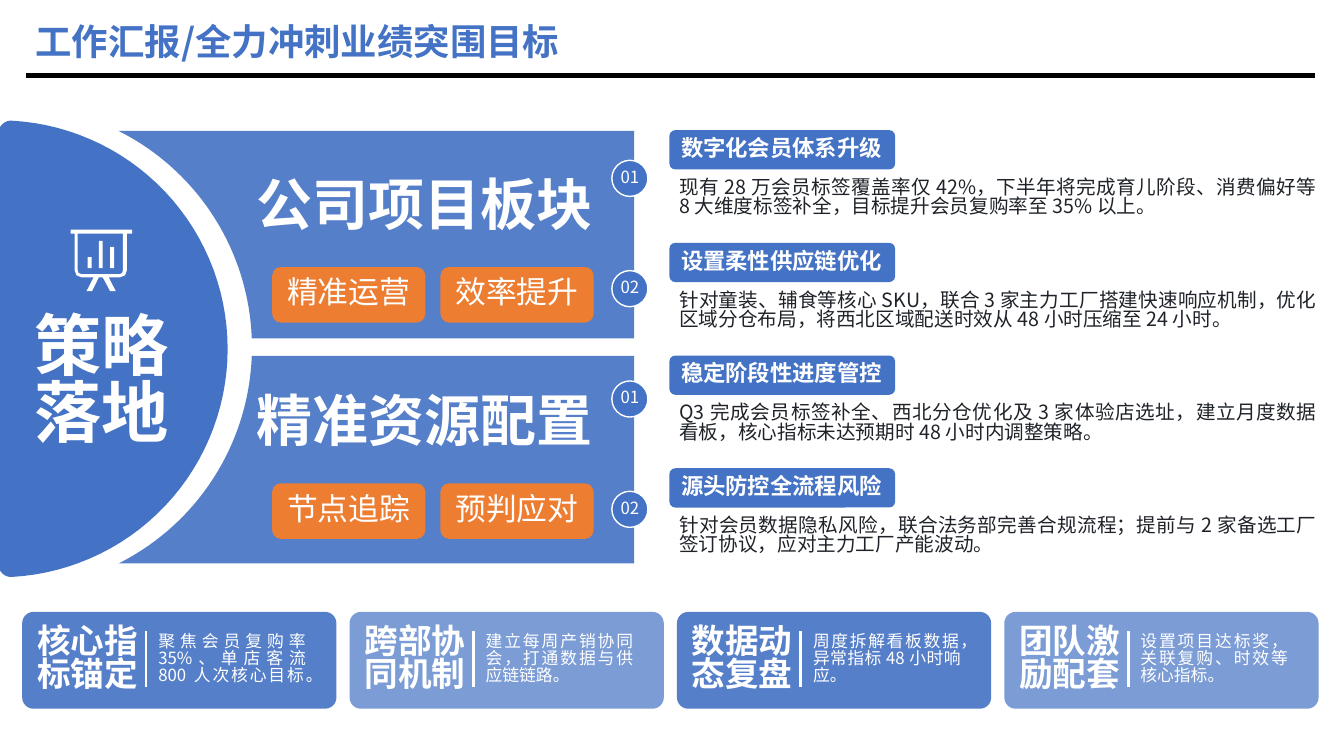
import math
from dataclasses import dataclass

import pptx
import pptx.dml.color
import pptx.enum.shapes
import pptx.enum.text
import pptx.oxml
import pptx.oxml.ns
import pptx.util

Cm = pptx.util.Cm
Color = pptx.dml.color.RGBColor
Align = pptx.enum.text.PP_ALIGN
Kind = pptx.enum.shapes.MSO_SHAPE

BLUE = Color(0x44, 0x72, 0xC4)
ORANGE = Color(0xED, 0x7D, 0x31)
WHITE = Color(0xFF, 0xFF, 0xFF)
BLACK = Color(0, 0, 0)
INK = Color(0x1F, 0x23, 0x29)
FONT = "Noto Sans CJK SC"
LEADING = 0.83
Points = list[tuple[float, float]]


@dataclass
class Style:
    size: int
    bold: bool = False
    color: Color = WHITE
    align: Align = Align.CENTER
    inset: float = 0.25


@dataclass
class Box:
    left: float
    top: float
    width: float
    height: float

    def spans(self) -> list[int]:
        return [Cm(v) for v in (self.left, self.top, self.width, self.height)]


@dataclass
class Topic:
    head: str
    body: str


@dataclass
class Panel:
    head: str
    chips: tuple[str, str]
    side: int  # -1 above the hub's centre line, 1 below


@dataclass
class Card:
    head: str
    note: str
    alpha: int


TITLE = Style(26, True, BLUE, Align.LEFT)
HUB = Style(48, True)
HEAD = Style(40, True)
CHIP = Style(22, inset=0)
DOT = Style(12, inset=0)
TAG = Style(16, True, align=Align.LEFT)
BODY = Style(14, color=INK, align=Align.JUSTIFY)
LABEL = Style(24, True)
NOTE = Style(12, align=Align.JUSTIFY)

TOPICS = [
    Topic("数字化会员体系升级", "现有 28 万会员标签覆盖率仅 42%，下半年将完成育儿阶段、消费偏好"
          "等 8 大维度标签补全，目标提升会员复购率至 35% 以上。"),
    Topic("设置柔性供应链优化", "针对童装、辅食等核心 SKU，联合 3 家主力工厂搭建快速响应机制，优"
          "化区域分仓布局，将西北区域配送时效从 48 小时压缩至 24 小时。"),
    Topic("稳定阶段性进度管控", "Q3 完成会员标签补全、西北分仓优化及 3 家体验店选址，建立月度数据"
          "看板，核心指标未达预期时 48 小时内调整策略。"),
    Topic("源头防控全流程风险", "针对会员数据隐私风险，联合法务部完善合规流程；提前与 2 家备选工"
          "厂签订协议，应对主力工厂产能波动。"),
]
PANELS = [
    Panel("公司项目板块", ("精准运营", "效率提升"), -1),
    Panel("精准资源配置", ("节点追踪", "预判应对"), 1),
]
CARDS = [
    Card("核心指标锚定", "聚焦会员复购率 35%、单店客流 800 人次核心目标。", 90),
    Card("跨部协同机制", "建立每周产销协同会，打通数据与供应链链路。", 70),
    Card("数据动态复盘", "周度拆解看板数据，异常指标 48 小时响应。", 90),
    Card("团队激励配套", "设置项目达标奖，关联复购、时效等核心指标。", 70),
]
BOARD = [(1.78, 5.79), (3.33, 5.79), (3.33, 5.89), (3.2, 5.89), (3.2, 6.81),
         (3.15, 6.94), (3.02, 6.99), (2.74, 6.99), (2.92, 7.34), (2.78, 7.34),
         (2.59, 6.99), (2.49, 6.99), (2.32, 7.34), (2.18, 7.34), (2.36, 6.99),
         (2.06, 6.99), (1.93, 6.94), (1.88, 6.81), (1.88, 5.89), (1.78, 5.89)]
SCREEN = [(1.96, 5.89), (3.1, 5.89), (3.1, 6.81), (3.08, 6.88), (3.02, 6.91),
          (2.06, 6.91), (1.98, 6.88), (1.96, 6.81)]


def write(shape, text: str, style: Style) -> None:
    frame = shape.text_frame
    frame.word_wrap = style.inset > 0
    frame.auto_size = pptx.enum.text.MSO_AUTO_SIZE.NONE
    frame.vertical_anchor = pptx.enum.text.MSO_ANCHOR.MIDDLE
    frame.margin_left = frame.margin_right = Cm(style.inset)
    frame.margin_top = frame.margin_bottom = Cm(0.13 if style.inset else 0)
    para = frame.paragraphs[0]
    para.alignment = style.align
    para.line_spacing = LEADING
    run = para.add_run()
    run.text = text
    font = run.font
    font.name, font.size, font.bold = FONT, pptx.util.Pt(style.size), style.bold
    font.color.rgb = style.color
    east = pptx.oxml.parse_xml(f'<a:ea {pptx.oxml.ns.nsdecls("a")} typeface="{FONT}"/>')
    run._r.rPr.find(pptx.oxml.ns.qn("a:latin")).addnext(east)


def label(slide, box: Box, text: str, style: Style) -> None:
    write(slide.shapes.add_textbox(*box.spans()), text, style)


def paint(shape, fill: Color, alpha: int = 100) -> None:
    """Give a flat fill, with alpha as percent opacity, and no outline."""
    shape.shadow.inherit = False
    shape.fill.solid()
    shape.fill.fore_color.rgb = fill
    shape.line.fill.background()
    if alpha < 100:
        tint = pptx.oxml.parse_xml(
            f'<a:alpha {pptx.oxml.ns.nsdecls("a")} val="{alpha * 1000}"/>')
        shape._element.spPr.find(".//" + pptx.oxml.ns.qn("a:srgbClr")).append(tint)


def plate(slide, box: Box, fill: Color, round: float, alpha: int = 100):
    shape = slide.shapes.add_shape(Kind.ROUNDED_RECTANGLE, *box.spans())
    shape.adjustments[0] = round
    paint(shape, fill, alpha)
    return shape


def rule(slide, start: tuple, end: tuple, color: Color, width: float) -> None:
    ends = [Cm(v) for v in start + end]
    line = slide.shapes.add_connector(pptx.enum.shapes.MSO_CONNECTOR.STRAIGHT, *ends)
    line.line.color.rgb = color
    line.line.width = pptx.util.Pt(width)
    line._element.spPr.append(
        pptx.oxml.parse_xml(f'<a:effectLst {pptx.oxml.ns.nsdecls("a")}/>'))


def outline(slide, *rings: Points):
    """Build one shape from closed rings; inner rings become holes."""
    rings = [[(Cm(x), Cm(y)) for x, y in ring] for ring in rings]
    form = slide.shapes.build_freeform(*rings[0][0])
    for num, ring in enumerate(rings):
        if num:
            form.move_to(*ring[0])
        form.add_line_segments(ring[1:], close=True)
    return form.convert_to_shape()


def arc(mid: tuple, radius: float, start: float, end: float) -> Points:
    turns = [start + (end - start) * k / 60 for k in range(61)]
    return [(mid[0] + radius * math.cos(t), mid[1] + radius * math.sin(t)) for t in turns]


def draw_hub(slide) -> None:
    turn = math.acos(0.3 / 5.44)
    disc = outline(slide, arc((-0.02, 8.79), 5.44, -turn, turn))
    paint(disc, BLUE)
    disc.line.color.rgb = BLUE
    disc.line.width = pptx.util.Pt(18)
    label(slide, Box(0.28, 7.49, 4.55, 4.37), "策略落地", HUB)
    bars = [[(x, top), (x + 0.1, top), (x + 0.1, 6.76), (x, 6.76)]
            for x, top in ((2.21, 6.48), (2.49, 6.07), (2.78, 6.22))]
    paint(outline(slide, BOARD, SCREEN, *bars), WHITE)


def draw_panel(slide, panel: Panel, drop: float) -> None:
    mid, radius, near, far = (0.25, 8.75), 6.1, 0.22, 5.45
    curve = arc(mid, radius, panel.side * math.asin(near / radius),
                panel.side * math.asin(far / radius))
    edge = [(15.98, mid[1] + panel.side * gap) for gap in (far, near)]
    paint(outline(slide, curve + edge), BLUE, 90)
    label(slide, Box(6.07, 4.27 + drop, 9.25, 1.96), panel.head, HEAD)
    for col, text in enumerate(panel.chips):
        box = Box(6.86 + 4.24 * col, 6.73 + drop, 3.86, 1.4)
        write(plate(slide, box, ORANGE, 0.156), text, CHIP)


def draw_dot(slide, num: int) -> None:
    box = Box(15.42, 4.04 + 2.78 * num, 0.91, 0.91)
    dot = slide.shapes.add_shape(Kind.OVAL, *box.spans())
    paint(dot, BLUE)
    dot.line.color.rgb = WHITE
    dot.line.width = pptx.util.Pt(1)
    write(dot, f"{num % 2 + 1:02}", DOT)


def draw_topic(slide, topic: Topic, top: float) -> None:
    write(plate(slide, Box(16.87, top, 5.69, 0.99), BLUE, 0.151), topic.head, TAG)
    label(slide, Box(16.87, top + 0.99, 16.56, 1.45), topic.body, BODY)


def draw_card(slide, card: Card, left: float) -> None:
    plate(slide, Box(left, 15.42, 7.92, 2.44), BLUE, 0.117, card.alpha)
    label(slide, Box(left + 0.07, 15.47, 3.15, 2.31), card.head, LABEL)
    label(slide, Box(left + 3.18, 15.72, 4.22, 1.8), card.note, NOTE)
    rule(slide, (left + 3.12, 15.9), (left + 3.12, 17.32), WHITE, 2)


def main() -> None:
    deck = pptx.Presentation()
    deck.slide_width, deck.slide_height = Cm(33.87), Cm(19.05)
    slide = deck.slides.add_slide(deck.slide_layouts[5])
    title = slide.shapes.title
    title.left, title.top, title.width, title.height = Box(0.64, 0.43, 17.32, 1.37).spans()
    write(title, "工作汇报/全力冲刺业绩突围目标", TITLE)
    rule(slide, (0.66, 1.9), (33.15, 1.9), BLACK, 3)
    draw_hub(slide)
    for num, panel in enumerate(PANELS):
        draw_panel(slide, panel, 5.45 * num)
    for num, topic in enumerate(TOPICS):
        draw_dot(slide, num)
        draw_topic(slide, topic, 3.28 + 2.84 * num)
    for num, card in enumerate(CARDS):
        draw_card(slide, card, 0.56 + 8.25 * num)
    deck.save("out.pptx")


if __name__ == "__main__":
    main()
